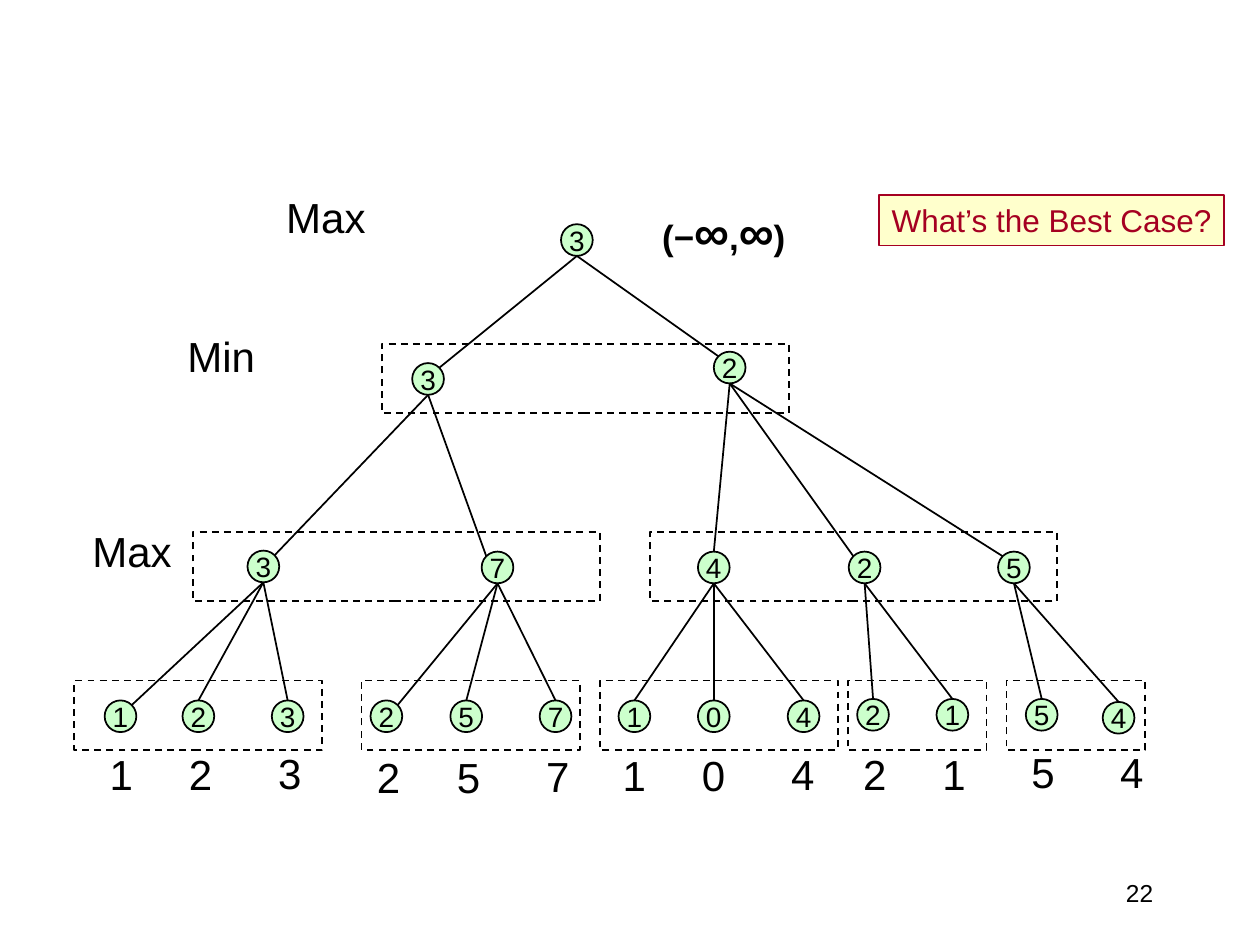
import math
from dataclasses import dataclass

import pptx
import pptx.dml.color
import pptx.enum.dml
import pptx.enum.shapes
import pptx.enum.text
import pptx.oxml
import pptx.util
from pptx.util import Cm


@dataclass(frozen=True)
class Theme:
    font: str = "Arial"
    black: str = "000000"
    node_fill: str = "CCFFCC"
    note_fill: str = "FFFFCC"
    note: str = "A50021"
    page_size: int = 14
    node_size: int = 16
    note_size: int = 18
    window_size: int = 20
    infinity_size: int = 28
    label_size: int = 24


theme = Theme()
color = pptx.dml.color.RGBColor.from_string
ALIGN = pptx.enum.text.PP_ALIGN
ANCHOR = pptx.enum.text.MSO_ANCHOR
SHAPE = pptx.enum.shapes.MSO_SHAPE


def add_outlined(preset, left, top, width, height, fill=None, line=theme.black):
    """Add a preset shape with a one-point outline and an optional fill."""
    shape = slide.shapes.add_shape(preset, Cm(left), Cm(top), Cm(width), Cm(height))
    shape.shadow.inherit = False
    if fill:
        shape.fill.solid()
        shape.fill.fore_color.rgb = color(fill)
    else:
        shape.fill.background()
    shape.line.color.rgb = color(line)
    shape.line.width = pptx.util.Pt(1)
    return shape


def write_text(shape, runs, ink=theme.black, bold=False, align=ALIGN.CENTER,
               anchor=ANCHOR.TOP, wrap=False):
    """Fill a shape with one paragraph made of (text, size) runs."""
    frame = shape.text_frame
    frame.word_wrap = wrap
    frame.vertical_anchor = anchor
    paragraph = frame.paragraphs[0]
    paragraph.alignment = align
    for text, size in runs:
        run = paragraph.add_run()
        run.text = text
        run.font.name = theme.font
        run.font.size = pptx.util.Pt(size)
        run.font.bold = bold
        run.font.color.rgb = color(ink)


presentation = pptx.Presentation()
presentation.slide_width, presentation.slide_height = Cm(25.4), Cm(19.05)
slide = presentation.slides.add_slide(presentation.slide_layouts[6])

# Tree nodes: name, parent, value, centre x, centre y, and the side where
# the edge arrives (-1 upper left, 0 top, 1 upper right)
inner_nodes = [
    ("root", None, "3", 11.63, 4.84, 0),
    ("min 1", "root", "3", 8.63, 7.64, 1),
    ("min 2", "root", "2", 14.71, 7.41, -1),
    ("max 1", "min 1", "3", 5.31, 11.42, 1),
    ("max 2", "min 1", "7", 10.03, 11.44, -1),
    ("max 3", "min 2", "4", 14.39, 11.44, 0),
    ("max 4", "min 2", "2", 17.43, 11.44, -1),
    ("max 5", "min 2", "5", 20.44, 11.44, -1),
]

# Leaves: parent, value, centre x, centre y, side, label centre x, label top
leaves = [
    ("max 1", "1", 2.43, 14.44, 1, 2.44, 14.96),
    ("max 1", "2", 4.00, 14.44, 0, 4.04, 14.96),
    ("max 1", "3", 5.80, 14.44, 0, 5.84, 14.94),
    ("max 2", "2", 7.79, 14.44, 1, 7.83, 15.02),
    ("max 2", "5", 9.40, 14.44, 0, 9.44, 15.02),
    ("max 2", "7", 11.20, 14.44, 0, 11.24, 15.00),
    ("max 3", "1", 12.79, 14.44, 0, 12.78, 14.99),
    ("max 3", "0", 14.39, 14.44, 0, 14.38, 14.99),
    ("max 3", "4", 16.20, 14.44, 0, 16.18, 14.96),
    ("max 4", "2", 17.60, 14.41, 0, 17.63, 14.96),
    ("max 4", "1", 19.20, 14.41, 0, 19.23, 14.96),
    ("max 5", "5", 21.00, 14.41, 0, 21.02, 14.93),
    ("max 5", "4", 22.55, 14.47, 0, 22.81, 14.93),
]

# Nodes and the edges from their parents
radius = 0.32
diagonal = radius * math.sqrt(0.5)
centres = {}
for name, parent, value, x, y, side in inner_nodes + [(None, *leaf[:5]) for leaf in leaves]:
    node = add_outlined(SHAPE.OVAL, x - radius, y - radius, 2 * radius, 2 * radius,
                        theme.node_fill)
    write_text(node, [(value, theme.node_size)], anchor=ANCHOR.MIDDLE)
    if name:
        centres[name] = (x, y)
    if parent:
        parent_x, parent_y = centres[parent]
        edge = slide.shapes.add_connector(
            pptx.enum.shapes.MSO_CONNECTOR.STRAIGHT,
            Cm(parent_x), Cm(parent_y + radius),
            Cm(x + side * diagonal), Cm(y - (diagonal if side else radius)))
        if side == 0:
            edge.end_connect(node, 0)
        edge.line.color.rgb = color(theme.black)
        edge.line.width = pptx.util.Pt(1)
        edge._element.spPr.append(pptx.oxml.parse_xml(
            '<a:effectLst xmlns:a="http://schemas.openxmlformats.org/drawingml/2006/main"/>'))

# Level names and leaf values: text, centre x, top, width
labels = [("Max", 6.57, 3.73, 2.1), ("Min", 4.46, 6.53, 2.1), ("Max", 2.66, 10.46, 2.1)]
labels += [(value, x, top, 0.96) for _, value, _, _, _, x, top in leaves]
for text, x, top, width in labels:
    label = slide.shapes.add_textbox(Cm(x - width / 2), Cm(top), Cm(width), Cm(1.28))
    write_text(label, [(text, theme.label_size)])
    label.text_frame.auto_size = pptx.enum.text.MSO_AUTO_SIZE.SHAPE_TO_FIT_TEXT

# Search window at the root
window = slide.shapes.add_textbox(Cm(12.52), Cm(3.94), Cm(4.14), Cm(1.45))
write_text(window, [("(−", theme.window_size), ("∞", theme.infinity_size),
                    (",", theme.window_size), ("∞", theme.infinity_size),
                    (")", theme.window_size)], bold=True, wrap=True)

# Dashed frames around siblings: left, top, width
frames = [(7.7, 6.93, 8.2), (3.89, 10.72, 8.2), (13.11, 10.72, 8.2),
          (1.5, 13.72, 5), (7.29, 13.72, 4.4), (12.09, 13.72, 4.8),
          (17.09, 13.72, 2.8), (20.29, 13.72, 2.8)]
for left, top, width in frames:
    frame = add_outlined(SHAPE.RECTANGLE, left, top, width, 1.4)
    frame.line.dash_style = pptx.enum.dml.MSO_LINE.DASH

# Question note
note = add_outlined(SHAPE.RECTANGLE, 17.72, 3.93, 6.96, 1.02, theme.note_fill, theme.note)
write_text(note, [("What’s the Best Case?", theme.note_size)], ink=theme.note)

# Page number
page = slide.shapes.add_textbox(Cm(21.8), Cm(17.36), Cm(1.7), Cm(1.27))
write_text(page, [("22", theme.page_size)], align=ALIGN.RIGHT, anchor=ANCHOR.MIDDLE)

presentation.save("out.pptx")
